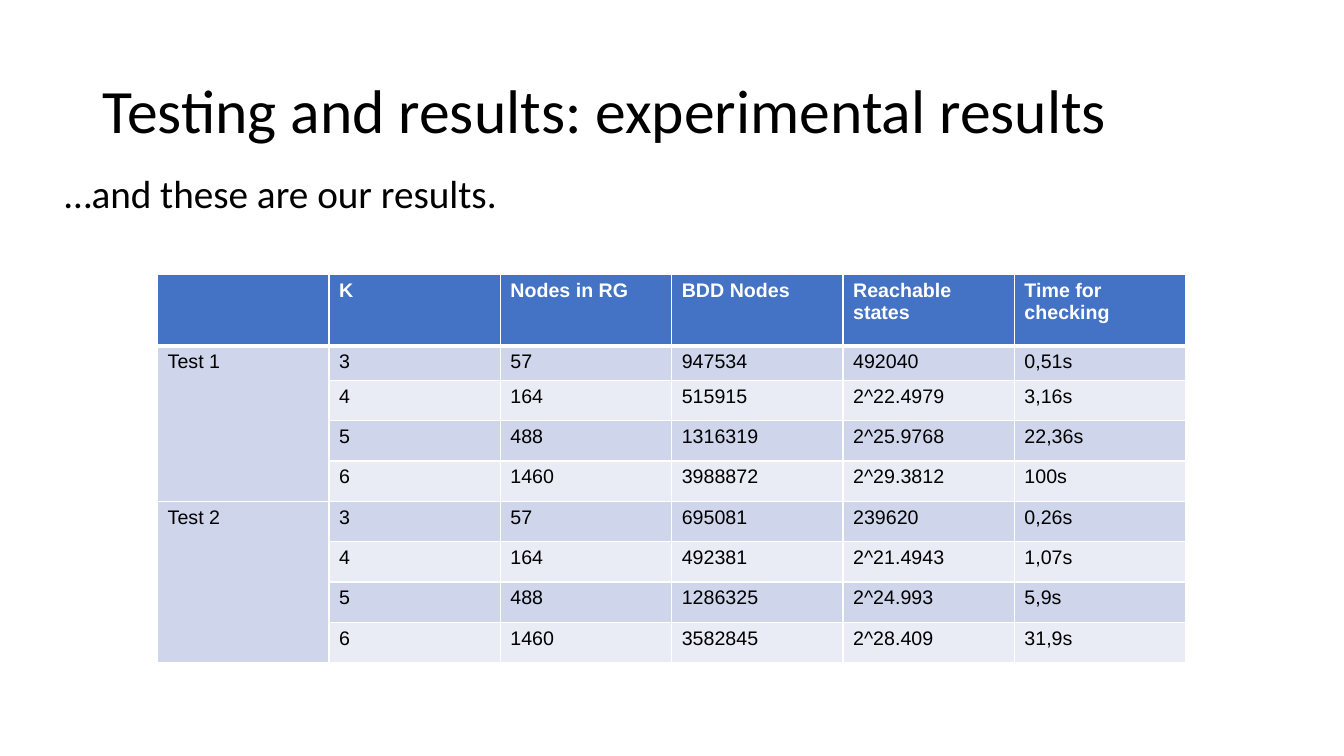
from lxml import etree
from pptx import Presentation
from pptx.dml.color import RGBColor
from pptx.enum import text
from pptx.oxml import ns
from pptx.util import Pt

BLACK = RGBColor(0x00, 0x00, 0x00)
WHITE = RGBColor(0xFF, 0xFF, 0xFF)
HEADER_BLUE = RGBColor(0x44, 0x72, 0xC4)
BAND_DARK = RGBColor(0xCF, 0xD5, 0xEA)
BAND_LIGHT = RGBColor(0xE9, 0xEB, 0xF5)

HEADINGS = ["", "K", "Nodes in RG", "BDD Nodes", "Reachable states", "Time for checking"]
RESULTS = [
    ["Test 1", "3", "57", "947534", "492040", "0,51s"],
    ["", "4", "164", "515915", "2^22.4979", "3,16s"],
    ["", "5", "488", "1316319", "2^25.9768", "22,36s"],
    ["", "6", "1460", "3988872", "2^29.3812", "100s"],
    ["Test 2", "3", "57", "695081", "239620", "0,26s"],
    ["", "4", "164", "492381", "2^21.4943", "1,07s"],
    ["", "5", "488", "1286325", "2^24.993", "5,9s"],
    ["", "6", "1460", "3582845", "2^28.409", "31,9s"],
]
ROWS_PER_TEST = 4
COLUMN_WIDTH = 122.4
ROW_HEIGHTS = [51.1, 24.5] + [28.8] * 7


def fill_placeholder(shape, box, wording, size, anchor, inset):
    shape.left, shape.top, shape.width, shape.height = [Pt(value) for value in box]
    frame = shape.text_frame
    frame.text = wording
    frame.word_wrap = True
    frame.auto_size = text.MSO_AUTO_SIZE.NONE
    frame.vertical_anchor = anchor
    frame.margin_left = frame.margin_right = Pt(7.2)
    frame.margin_top = frame.margin_bottom = Pt(inset)
    paragraph = frame.paragraphs[0]
    paragraph.alignment = text.PP_ALIGN.LEFT
    paragraph.line_spacing = 0.9
    paragraph.space_before = Pt(0)
    font = paragraph.runs[0].font
    font.name, font.size = "Calibri", Pt(size)
    font.color.rgb = BLACK
    return paragraph


def add_border(cell, side, width):
    properties = cell._tc.get_or_add_tcPr()
    line = etree.SubElement(properties, ns.qn(f"a:{side}"), w=str(Pt(width)))
    fill = etree.SubElement(line, ns.qn("a:solidFill"))
    etree.SubElement(fill, ns.qn("a:srgbClr"), val=str(WHITE))


presentation = Presentation()
presentation.slide_width = Pt(960)
presentation.slide_height = Pt(540)
slide = presentation.slides.add_slide(presentation.slide_layouts[1])

# Title
fill_placeholder(slide.shapes.title, (66, 28.8, 828, 104.4),
                 "Testing and results: experimental results", 44, text.MSO_ANCHOR.MIDDLE, 7.2)

# Introductory line, without the template's bullet
intro = fill_placeholder(slide.placeholders[1], (38.9, 121, 830.2, 127.4),
                         "…and these are our results.", 28, text.MSO_ANCHOR.TOP, 3.6)
intro_properties = intro._p.get_or_add_pPr()
intro_properties.set("marL", "0")
intro_properties.set("indent", "0")
etree.SubElement(intro_properties, ns.qn("a:buNone"))

# Results table
rows = [HEADINGS] + RESULTS
table = slide.shapes.add_table(
    len(rows), len(HEADINGS), Pt(112.6), Pt(196.1),
    Pt(COLUMN_WIDTH * len(HEADINGS)), Pt(sum(ROW_HEIGHTS))).table
for column in table.columns:
    column.width = Pt(COLUMN_WIDTH)
for row, height in zip(table.rows, ROW_HEIGHTS):
    row.height = Pt(height)

for row_index, row in enumerate(rows):
    is_header = row_index == 0
    for column_index, value in enumerate(row):
        cell = table.cell(row_index, column_index)
        cell.text = value
        font = cell.text_frame.paragraphs[0].font
        if value:
            font = cell.text_frame.paragraphs[0].runs[0].font
        font.name, font.size, font.bold = "Arial", Pt(14), is_header
        font.color.rgb = WHITE if is_header else BLACK

        # White rules, thicker below the header
        add_border(cell, "lnL", 1)
        add_border(cell, "lnR", 1)
        add_border(cell, "lnT", 3 if row_index == 1 else 1)
        add_border(cell, "lnB", 3 if is_header else 1)

        # Header colour and alternating bands
        cell.fill.solid()
        if is_header:
            cell.fill.fore_color.rgb = HEADER_BLUE
        elif column_index == 0 or row_index % 2:
            cell.fill.fore_color.rgb = BAND_DARK
        else:
            cell.fill.fore_color.rgb = BAND_LIGHT

# One label cell per test
for first_row in range(1, len(rows), ROWS_PER_TEST):
    table.cell(first_row, 0).merge(table.cell(first_row + ROWS_PER_TEST - 1, 0))

presentation.save("out.pptx")
